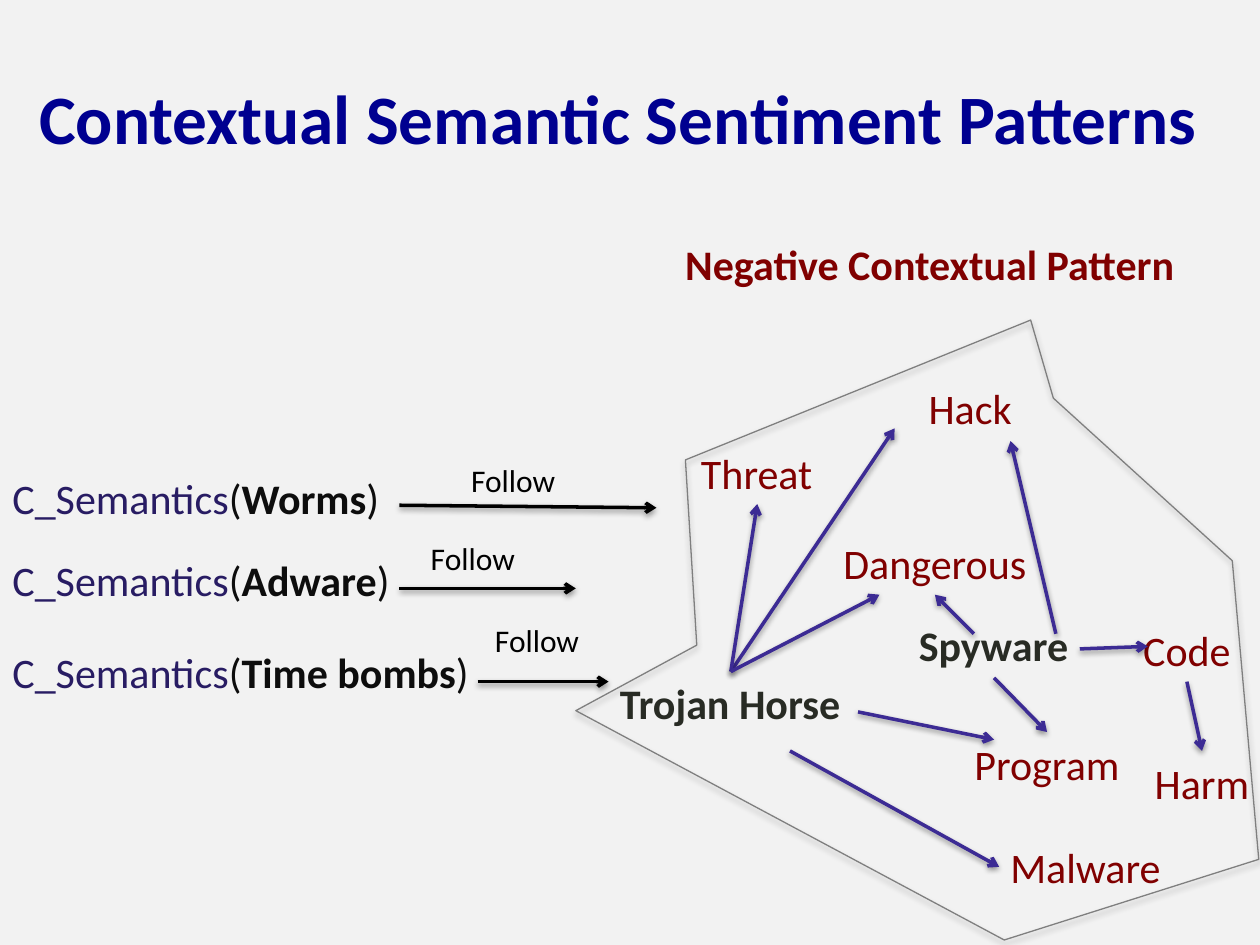
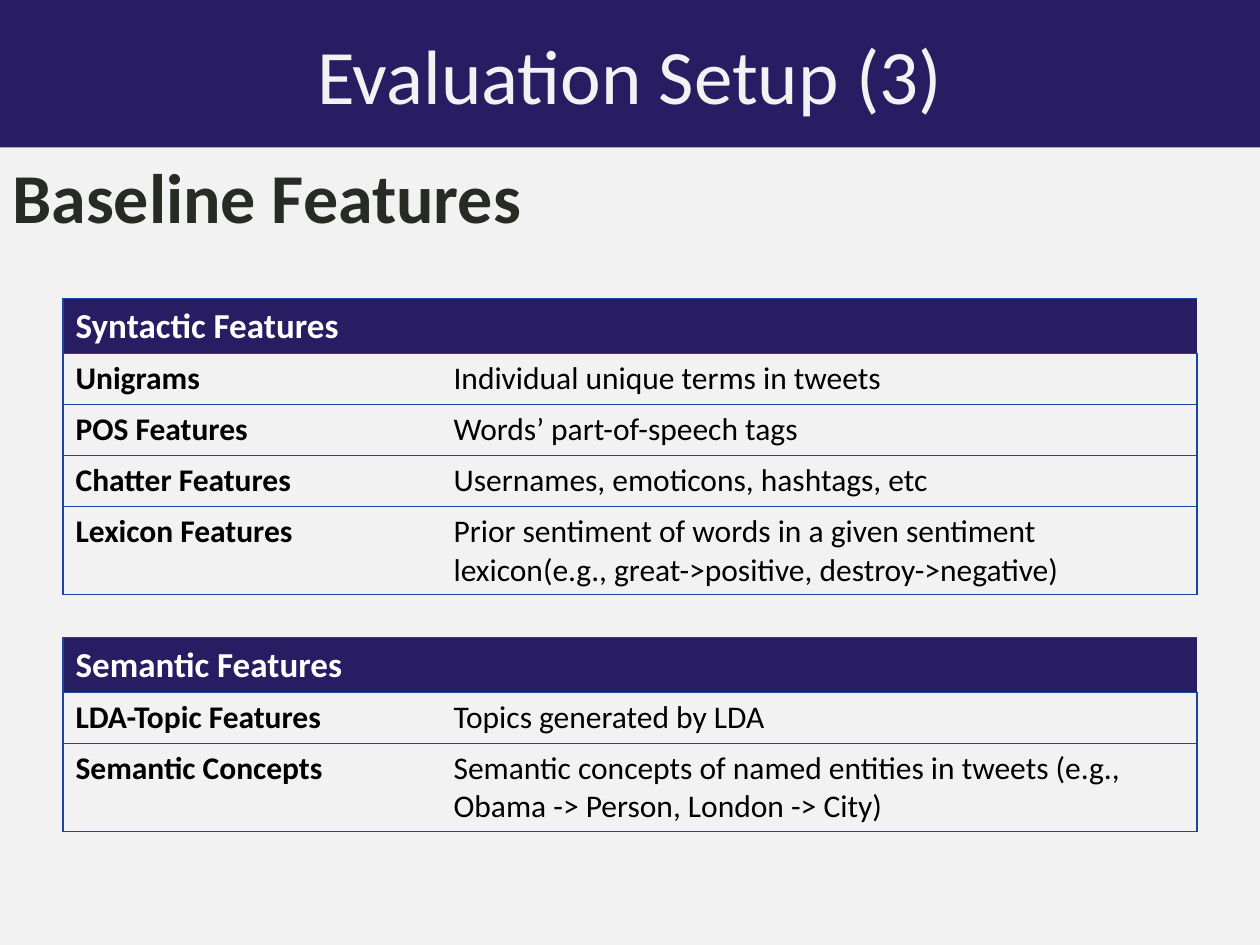
import pptx
import pptx.util
import pptx.dml.color
import pptx.enum.dml
import pptx.enum.shapes
import pptx.enum.text
import pptx.oxml
from lxml import etree

FONT = "Calibri"
COLORS = {
    "page": "F2F2F2", "band": "281D63", "head": "281C63", "navy": "000090",
    "red": "800000", "dark": "282B24", "ink": "0D0D0D", "black": "000000",
    "white": "FFFFFF", "arrow": "3C2B94", "edge": "7F7F7F", "rule": "1C43A5",
}
WIDE, TALL = 10, 7.5
NS = "http://schemas.openxmlformats.org/drawingml/2006/main"
ALIGN = pptx.enum.text.PP_ALIGN
ANCHOR = pptx.enum.text.MSO_ANCHOR

# Pattern slide: text, left, top, width
TERMS = [
    ("Threat", 5.21, 3.5, 1.59), ("Hack", 7.02, 2.99, 1.36),
    ("Code", 8.74, 4.91, 1.36), ("Malware", 7.7, 6.63, 1.83),
    ("Program", 7.51, 5.81, 1.6), ("Dangerous", 6.27, 4.22, 2.3),
    ("Harm", 8.86, 5.96, 1.36),
]
NAMES = [("Trojan Horse", 4.57, 5.33, 2.45), ("Spyware", 6.66, 4.87, 2.45)]
HUB = (5.8, 5.33)
LINKS = [
    (HUB, (7.1, 3.4)), (HUB, (6.01, 4)), (HUB, (6.98, 4.72)),
    ((6.27, 5.96), (7.93, 6.88)), ((6.81, 5.65), (7.89, 5.87)),
    ((7.89, 5.38), (8.31, 5.81)), ((7.73, 5.03), (7.42, 4.72)),
    ((8.57, 5.15), (9.11, 5.13)), ((8.38, 5.03), (8.02, 3.5)),
    ((9.42, 5.41), (9.54, 5.96)),
]
# Entity, top, arrow start, arrow end, corner of the arrow's label
FOLLOWS = [
    ("Worms", 3.7, (3.17, 4.01), (5.21, 4.03), (3.64, 3.61)),
    ("Adware", 4.35, (3.17, 4.67), (4.57, 4.67), (3.32, 4.23)),
    ("Time bombs", 5.08, (3.79, 5.41), (4.83, 5.41), (3.83, 4.88)),
]
OUTLINE = [(8.18, 2.54), (5.44, 3.65), (5.53, 5.12), (4.57, 5.64),
           (7.97, 7.46), (9.99, 6.82), (9.78, 4.45), (8.36, 3.16)]

# Feature slide: top, heading, rows
TABLES = [
    (2.37, "Syntactic Features", [
        ("Unigrams", "Individual unique terms in tweets"),
        ("POS Features", "Words’ part-of-speech tags"),
        ("Chatter Features", "Usernames, emoticons, hashtags, etc"),
        ("Lexicon Features", "Prior sentiment of words in a given sentiment "
         "lexicon(e.g., great->positive, destroy->negative)"),
    ]),
    (5.06, "Semantic Features", [
        ("LDA-Topic Features", "Topics generated by LDA"),
        ("Semantic Concepts", "Semantic concepts of named entities in tweets "
         "(e.g., Obama -> Person, London -> City)"),
    ]),
]
COLS, ROW = (3, 6), 0.405


def inch(*sizes):
    return [pptx.util.Inches(s) for s in sizes]


def rgb(name):
    return pptx.dml.color.RGBColor.from_string(COLORS[name])


def style(run, size, color, bold=False):
    run.font.name = FONT
    run.font.size = pptx.util.Pt(size)
    run.font.bold = bold
    run.font.color.rgb = rgb(color)


def fill_text(frame, parts, size, align=ALIGN.LEFT):
    """Write (text, color, bold) parts as the runs of one paragraph."""
    par = frame.paragraphs[0]
    par.alignment = align
    for text, color, bold in parts:
        run = par.add_run()
        run.text = text
        style(run, size, color, bold)


def add_text(slide, box, parts, size=24, align=ALIGN.LEFT, wrap=True):
    frame = slide.shapes.add_textbox(*inch(*box)).text_frame
    frame.word_wrap = wrap
    fill_text(frame, parts, size, align)


def set_title(slide, box, text, size, color, bold=False):
    title = slide.shapes.title
    title.left, title.top, title.width, title.height = inch(*box)
    frame = title.text_frame
    frame.auto_size = pptx.enum.text.MSO_AUTO_SIZE.NONE
    frame.vertical_anchor = ANCHOR.MIDDLE
    fill_text(frame, [(text, color, bold)], size, ALIGN.CENTER)
    return title


def add_shadow(shape, alpha, dist):
    shape._element.spPr.append(pptx.oxml.parse_xml(
        f'<a:effectLst xmlns:a="{NS}"><a:outerShdw blurRad="40000" '
        f'dist="{dist}" dir="5400000" rotWithShape="0"><a:srgbClr val="000000">'
        f'<a:alpha val="{alpha}000"/></a:srgbClr></a:outerShdw></a:effectLst>'))


def add_arrow(slide, start, end, color):
    kind = pptx.enum.shapes.MSO_CONNECTOR.STRAIGHT
    line = slide.shapes.add_connector(kind, *inch(*start, *end))
    line.line.color.rgb = rgb(color)
    line.line.width = pptx.util.Pt(2)
    etree.SubElement(line.line._get_or_add_ln(), f"{{{NS}}}tailEnd", type="arrow")
    add_shadow(line, 38, 20000)


def add_outline(slide):
    first, *rest = [inch(*point) for point in OUTLINE]
    maker = slide.shapes.build_freeform(*first, scale=1.0)
    maker.add_line_segments(rest, close=True)
    shape = maker.convert_to_shape()
    shape.fill.background()
    shape.line.color.rgb = rgb("edge")
    shape.line.width = pptx.util.Pt(0.75)
    add_shadow(shape, 35, 23000)


def set_edges(cell, sides):
    """Rule the given sides of a cell and clear the others."""
    props = cell._tc.get_or_add_tcPr()
    for side in "LRTB":
        ink = (f'<a:solidFill><a:srgbClr val="{COLORS["rule"]}"/></a:solidFill>'
               if side in sides else "<a:noFill/>")
        props.append(pptx.oxml.parse_xml(
            f'<a:ln{side} xmlns:a="{NS}" w="9525">{ink}</a:ln{side}>'))


def add_grid(slide, top, head, rows):
    count = len(rows) + 1
    box = inch(0.5, top, sum(COLS), ROW * count)
    table = slide.shapes.add_table(count, len(COLS), *box).table
    table.first_row = table.horz_banding = False
    for col, width in zip(table.columns, inch(*COLS)):
        col.width = width
    for r, texts in enumerate([(head, ""), *rows]):
        table.rows[r].height = pptx.util.Inches(ROW)
        for c, text in enumerate(texts):
            cell = table.cell(r, c)
            set_edges(cell, "TB" + "LR"[c])
            if r == 0:
                cell.fill.solid()
                cell.fill.fore_color.rgb = rgb("head")
            else:
                cell.fill.background()
            if text:
                part = (text, "black" if r else "white", c == 0)
                fill_text(cell.text_frame, [part], 18 if r else 20)
    table.cell(0, 0).merge(table.cell(0, 1))


def add_slide(deck):
    slide = deck.slides.add_slide(deck.slide_layouts[5])
    slide.background.fill.solid()
    slide.background.fill.fore_color.rgb = rgb("page")
    return slide


def draw_pattern(slide):
    set_title(slide, (0, 0.3, 9.81, 1.25),
              "Contextual Semantic Sentiment Patterns", 39.6, "navy", True)
    add_outline(slide)
    add_text(slide, (5.34, 1.84, 4.16, 0.5),
             [("Negative Contextual Pattern", "red", True)], wrap=False)
    for group, color, bold in ((TERMS, "red", False), (NAMES, "dark", True)):
        for text, left, top, width in group:
            add_text(slide, (left, top, width, 0.5), [(text, color, bold)],
                     align=ALIGN.CENTER)
    for start, end in LINKS:
        add_arrow(slide, start, end, "arrow")
    for name, top, start, end, label in FOLLOWS:
        add_text(slide, (0, top, 4.15, 0.5),
                 [("C_Semantics", "head", False), ("(", "ink", False),
                  (name, "ink", True), (")", "ink", False)])
        add_arrow(slide, start, end, "black")
        add_text(slide, (*label, 0.88, 0.4), [("Follow", "black", False)],
                 18, wrap=False)


def draw_features(slide):
    band = set_title(slide, (0, 0, WIDE, 1.17), "Evaluation Setup (3)", 44, "page")
    band.fill.solid()
    band.fill.fore_color.rgb = rgb("band")
    add_text(slide, (0, 1.17, 9.19, 0.83),
             [("Baseline Features", "dark", True)], 40)
    for top, head, rows in TABLES:
        add_grid(slide, top, head, rows)


def main():
    deck = pptx.Presentation()
    deck.slide_width, deck.slide_height = inch(WIDE, TALL)
    for draw in (draw_pattern, draw_features):
        draw(add_slide(deck))
    deck.save("out.pptx")


if __name__ == "__main__":
    main()
